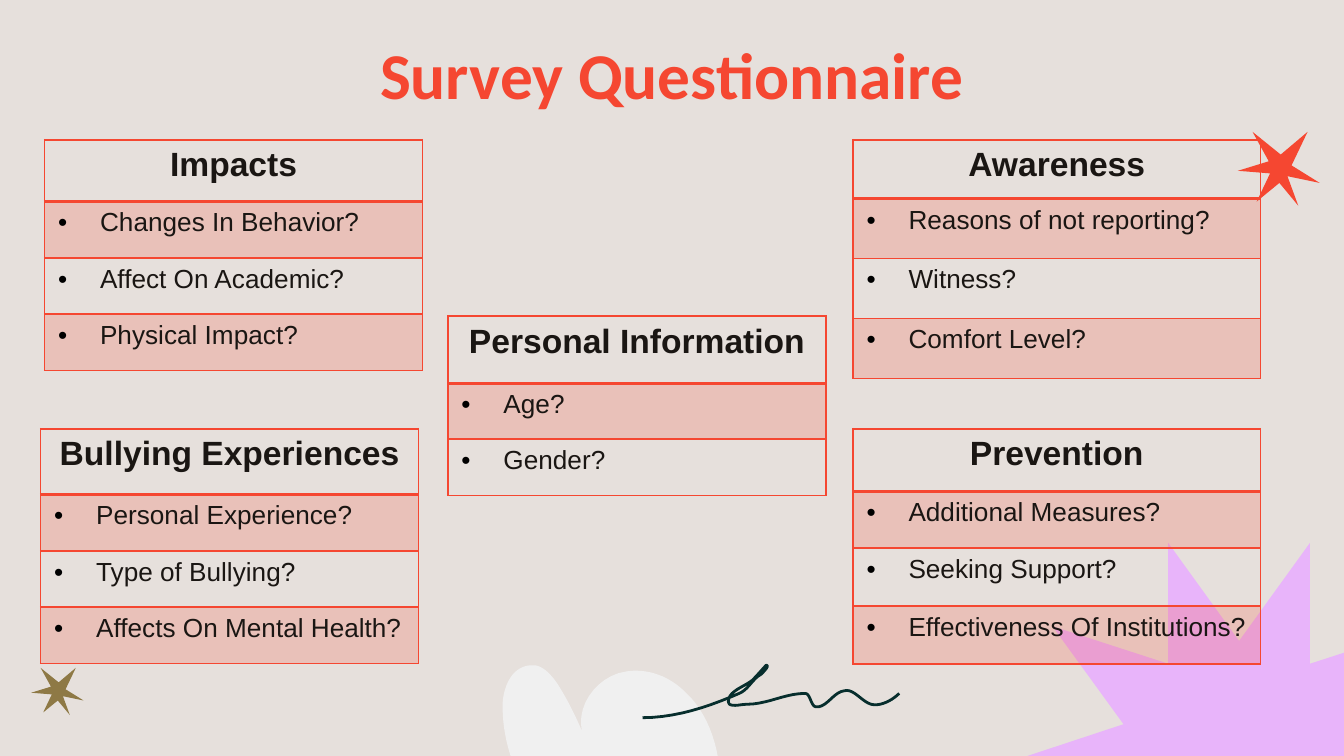
import pptx
import pptx.dml.color
import pptx.enum.text
import pptx.oxml
import pptx.oxml.ns
import pptx.util

Pt = pptx.util.Pt
RGBColor = pptx.dml.color.RGBColor
qn = pptx.oxml.ns.qn
CENTER = pptx.enum.text.PP_ALIGN.CENTER

SAND = RGBColor(0xE6, 0xE0, 0xDC)
CORAL = RGBColor(0xF5, 0x47, 0x31)
LILAC = RGBColor(0xE8, 0xB4, 0xFA)
PALE = RGBColor(0xF0, 0xF0, 0xF0)
GOLD = RGBColor(0x8E, 0x79, 0x45)
TEAL = RGBColor(0x07, 0x2E, 0x2D)
INK = RGBColor(0x1A, 0x16, 0x13)
NAMESPACE = pptx.oxml.ns.nsdecls("a")

deck = pptx.Presentation()
deck.slide_width, deck.slide_height = Pt(720), Pt(405)
page = deck.slides.add_slide(deck.slide_layouts[6])
page.background.fill.solid()
page.background.fill.fore_color.rgb = SAND


def add_outline(points, fill=None, line=None):
    """Draw a filled closed outline, or an open stroke when only line is given."""
    corners = [(Pt(x), Pt(y)) for x, y in points]
    builder = page.shapes.build_freeform(*corners[0], scale=1.0)
    builder.add_line_segments(corners[1:], close=fill is not None)
    shape = builder.convert_to_shape()
    shape.shadow.inherit = False
    if fill is None:
        shape.fill.background()
        shape.line.color.rgb = line
        shape.line.width = Pt(1.5)
    else:
        shape.fill.solid()
        shape.fill.fore_color.rgb = fill
        shape.line.fill.background()


def trace_curve(start, curves, steps=10):
    """Sample a chain of cubic curves, each given as two handles and an end."""
    points = [start]
    for curve in curves:
        x0, y0 = points[-1]
        x1, y1, x2, y2, x3, y3 = curve
        for step in range(1, steps + 1):
            t = step / steps
            u = 1 - t
            a, b, c, d = u**3, 3 * u * u * t, 3 * u * t * t, t**3
            points.append((a * x0 + b * x1 + c * x2 + d * x3,
                           a * y0 + b * y1 + c * y2 + d * y3))
    return points


# Large ten-pointed star, mirrored from one quarter
quarter = [(0, -64.8), (-38, -117.4), (-38, -52.6), (-100, -72.7), (-61.9, -20.2), (-123.1, 0)]
left_half = quarter + [(x, -y) for x, y in quarter[-2::-1]]
whole = left_half + [(-x, y) for x, y in left_half[-2:0:-1]]
add_outline([(663.8 + x, 408.2 + y) for x, y in whole], LILAC)

# Pale petals at the bottom edge
petals = trace_curve((285.1, 356.4), [
    (280.1, 356.4, 275.8, 359.3, 273.6, 362.9),
    (270.7, 367.2, 269.3, 373, 269.3, 378),
    (269.3, 387.4, 270.7, 396, 273.6, 405),
])
petals += trace_curve((384.5, 405), [
    (382.3, 392.4, 376.6, 379.4, 367.2, 370.8),
    (360, 363.6, 350.6, 359.3, 340.6, 359.3),
    (337, 359.3, 334.1, 360, 331.2, 360.7),
    (318.2, 365, 308.9, 378.7, 311.8, 391.7),
    (308.2, 383, 303.8, 374.4, 298.8, 366.5),
    (295.9, 362.2, 291.6, 357.1, 286.6, 356.4),
])
add_outline(petals, PALE)

# Two small stars share one outline
spark = [(37.4, 0), (23, 12.2), (7.9, 0), (16.6, 15.8), (0, 20.9), (17.3, 22.3),
         (10.1, 37.4), (22.3, 27.4), (32.4, 39.6), (26.6, 23.8), (43.9, 27.4), (28.8, 18)]
for left, top, scale, color in [(16.7, 357.8, 0.64, GOLD), (663.1, 70.6, 1, CORAL)]:
    add_outline([(left + x * scale, top + y * scale) for x, y in spark], color)

scribble = trace_curve((344.2, 384.5), [
    (362.2, 384.5, 379.4, 378.7, 396, 371.5),
    (401, 369.4, 403.2, 363.6, 407.5, 361.4),
    (409, 360, 412.6, 356.4, 410.4, 356.4),
    (410.4, 356.4, 404.6, 362.9, 403.2, 364.3),
    (398.9, 367.9, 390.2, 370.1, 390.2, 375.8),
    (390.2, 379.4, 396.7, 377.3, 400.3, 377.3),
    (411.1, 377.3, 420.5, 371.5, 431.3, 371.5),
    (434.2, 371.5, 434.2, 378, 437, 378.7),
    (442.8, 379.4, 446.4, 370.8, 452.2, 370.1),
    (457.2, 368.6, 461.5, 375.8, 466.6, 377.3),
    (471.6, 378.7, 478.1, 375.1, 481.7, 371.5),
])
add_outline(scribble, line=TEAL)

title_box = page.shapes.add_textbox(Pt(56.9), Pt(16.6), Pt(606.2), Pt(45.4))
frame = title_box.text_frame
frame.word_wrap = True
frame.vertical_anchor = pptx.enum.text.MSO_ANCHOR.MIDDLE
frame.margin_left = frame.margin_right = frame.margin_top = frame.margin_bottom = Pt(7.2)
para = frame.paragraphs[0]
para.text = "Survey Questionnaire"
para.alignment = CENTER
para.font.name, para.font.size, para.font.bold = "Calibri", Pt(35), True
para.font.color.rgb = CORAL

# Left, top, width, row heights, heading followed by questions
sections = [
    (240, 169.2, 202.5, [36.2, 29.8, 30.2],
     ["Personal Information", "Age?", "Gender?"]),
    (21.8, 229.7, 202.5, [35.2, 30.2, 30.2, 30.2],
     ["Bullying Experiences", "Personal Experience?", "Type of Bullying?",
      "Affects On Mental Health?"]),
    (23.9, 74.9, 202.5, [33, 30.2, 30.2, 30.2],
     ["Impacts", "Changes In Behavior?", "Affect On Academic?", "Physical Impact?"]),
    (457, 229.7, 218.2, [33.6, 30.4, 31, 31],
     ["Prevention", "Additional Measures?", "Seeking Support?",
      "Effectiveness Of Institutions?"]),
    (457, 74.9, 218.2, [31.6, 32, 32.2, 32.2],
     ["Awareness", "Reasons of not reporting?", "Witness?", "Comfort Level?"]),
]
for left, top, width, heights, entries in sections:
    table = page.shapes.add_table(
        len(entries), 1, Pt(left), Pt(top), Pt(width), Pt(sum(heights))).table
    table.first_row = table.horz_banding = False
    for index, (height, entry) in enumerate(zip(heights, entries)):
        is_heading = index == 0
        table.rows[index].height = Pt(height)
        cell = table.cell(index, 0)
        para = cell.text_frame.paragraphs[0]
        para.text = entry
        if is_heading:
            para.alignment = CENTER
        else:
            properties = para._p.get_or_add_pPr()
            properties.set("marL", str(Pt(22.5)))
            properties.set("indent", str(Pt(-22.5)))
            for markup in ('buClr {}><a:srgbClr val="000000"/></a:buClr>',
                           'buFont {} typeface="Arial"/>', 'buChar {} char="•"/>'):
                properties.append(pptx.oxml.parse_xml("<a:" + markup.format(NAMESPACE)))
        para.font.name = "Arial"
        para.font.size = Pt(18 if is_heading else 14)
        para.font.bold = is_heading
        para.font.color.rgb = INK

        cell_properties = cell._tc.get_or_add_tcPr()
        if index % 2:
            cell.fill.solid()
            cell.fill.fore_color.rgb = CORAL
            tint = cell_properties.find(".//" + qn("a:srgbClr"))
            tint.append(pptx.oxml.parse_xml(f'<a:alpha {NAMESPACE} val="20000"/>'))
        else:
            cell.fill.background()
        for position, side in enumerate("LRTB"):
            heavy = (is_heading and side == "B") or (index == 1 and side == "T")
            cell_properties.insert(position, pptx.oxml.parse_xml(
                f'<a:ln{side} {NAMESPACE} w="{Pt(2 if heavy else 1)}"><a:solidFill>'
                f'<a:srgbClr val="{CORAL}"/></a:solidFill></a:ln{side}>'))

deck.save("out.pptx")
